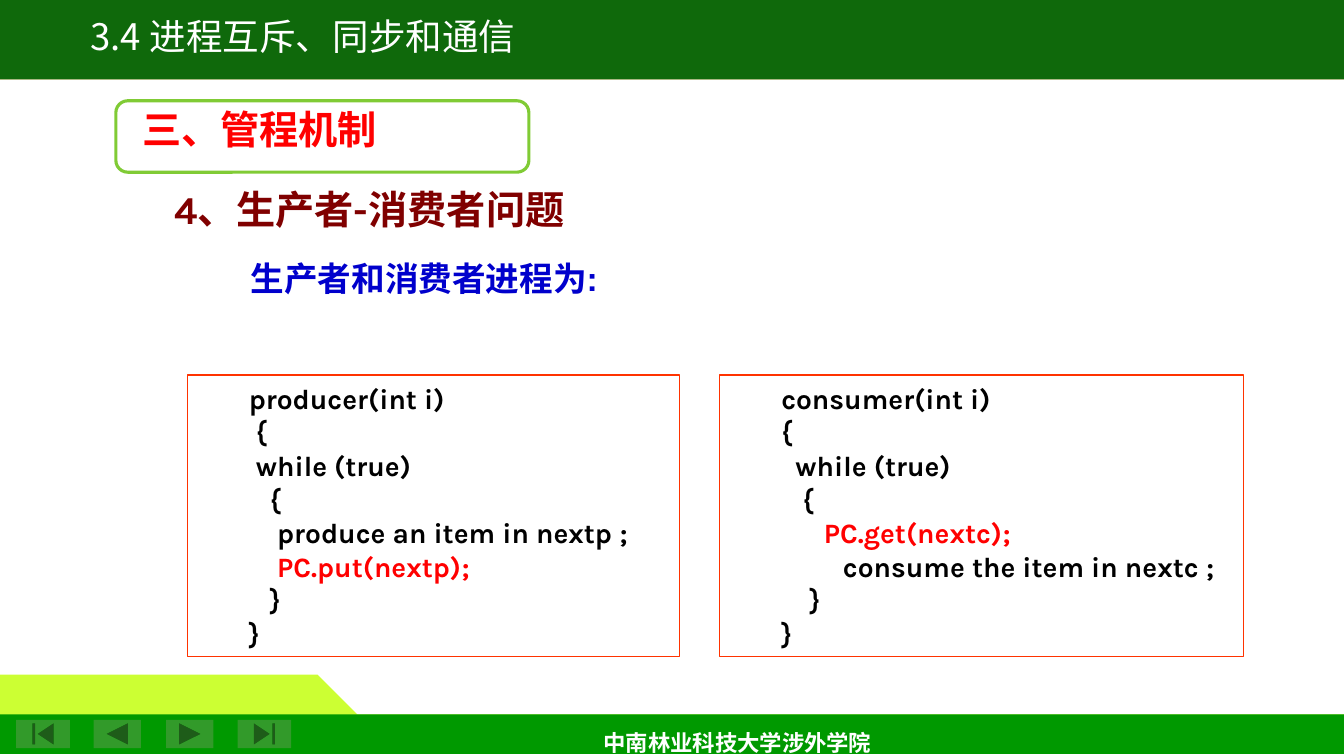
from pptx import Presentation
from pptx.dml.color import RGBColor
from pptx.enum.shapes import MSO_SHAPE as SHAPE
from pptx.enum.text import MSO_ANCHOR as ANCHOR, PP_ALIGN as ALIGN
from pptx.oxml.ns import qn
from pptx.util import Cm, Pt

W, H = 33.87, 19.05
CJK = "Noto Sans CJK SC"
RED, BLACK, WHITE = "FF0000", "000000", "FFFFFF"


def color(hex_text):
    return RGBColor.from_string(hex_text)


def paint(sp, fill=None, alpha=None, line=None, width=0.75):
    sp.shadow.inherit = False
    if fill:
        sp.fill.solid()
        sp.fill.fore_color.rgb = color(fill)
        if alpha:
            clr = sp.fill._xPr.find(qn("a:solidFill"))[0]
            clr.makeelement(qn("a:alpha"), {})
            node = clr.makeelement(qn("a:alpha"), {"val": str(alpha * 1000)})
            clr.append(node)
    else:
        sp.fill.background()
    if line:
        sp.line.color.rgb = color(line)
        sp.line.width = Pt(width)
    else:
        sp.line.fill.background()


def add_shape(s, kind, box, **look):
    sp = s.shapes.add_shape(kind, *map(Cm, box))
    paint(sp, **look)
    return sp


def add_band(s, x, y, points, fill, alpha=None):
    points = [(x + dx, y + dy) for dx, dy in points]
    builder = s.shapes.build_freeform(*points[0], scale=float(Cm(1)))
    builder.add_line_segments(points[1:], close=True)
    paint(builder.convert_to_shape(), fill, alpha)


def add_run(p, text, hex_text, size, name="Karla", bold=True):
    r = p.add_run()
    r.text = text
    for key, value in {"size": Pt(size), "name": name, "bold": bold}.items():
        setattr(r.font, key, value)
    r.font.color.rgb = color(hex_text)
    rpr = r.font._element
    rpr.append(rpr.makeelement(qn("a:ea"), {"typeface": CJK}))


def add_text(s, box, text, hex_text, size, wrap=True, anchor=ANCHOR.TOP,
             align=ALIGN.LEFT, spacing=None, **font):
    tf = s.shapes.add_textbox(*map(Cm, box)).text_frame
    tf.word_wrap, tf.vertical_anchor = wrap, anchor
    p = tf.paragraphs[0]
    p.alignment, p.line_spacing = align, spacing
    add_run(p, text, hex_text, size, **font)
    return p


def indent(p, margin, first):
    ppr = p._p.get_or_add_pPr()
    ppr.set("marL", str(Cm(margin)))
    ppr.set("indent", str(Cm(first)))


def footer(s, x, y, w, h):
    # Two stacked bands
    add_band(s, x, y, [(0.03, 1.43), (w, 1.43), (w, 0.69), (8.94, 0.69),
                       (8.05, 0.03), (0, 0)], "CCFF33")
    add_band(s, x, y, [(0, h), (w, h), (w, 1.02), (8.86, 1.02),
                       (7.9, 0.16), (0, 0.16)], "009900")
    # Navigation buttons
    buttons = [(SHAPE.ACTION_BUTTON_BEGINNING, 0.41, 1.35),
               (SHAPE.ACTION_BUTTON_BACK_OR_PREVIOUS, 2.36, 1.19),
               (SHAPE.ACTION_BUTTON_FORWARD_OR_NEXT, 4.19, 1.19),
               (SHAPE.ACTION_BUTTON_END, 5.99, 1.35)]
    for kind, dx, width in buttons:
        add_shape(s, kind, (x + dx, y + 0.77, width, 0.71), fill="329A2A")
    # School name
    add_text(s, (x + 14.96, y + 0.87, 7.34, 0.94), "中南林业科技大学涉外学院",
             WHITE, 16, wrap=False)


def header_bands(s, x, y, w):
    add_band(s, x, y, [(w, 0), (0, 0), (0, 2.14), (25.35, 2.14),
                       (25.98, 2.39), (w, 2.39)], "FBB561")
    add_band(s, x, y, [(w, 0), (0, 0), (0, 1.96), (25.35, 1.98),
                       (25.98, 2.19), (w, 2.21)], "0F690B")
    add_band(s, x, y, [(25.55, 2.39), (33.53, 2.39), (33.5, 2.52),
                       (25.88, 2.54)], WHITE, 30)


def code_box(s, x, y, w, h, lines, centred=None):
    sp = add_shape(s, SHAPE.RECTANGLE, (x, y, w, h), line="FF3300")
    tf = sp.text_frame
    tf.word_wrap, tf.vertical_anchor = True, ANCHOR.MIDDLE
    for i, line in enumerate(lines):
        p = tf.paragraphs[0] if i == 0 else tf.add_paragraph()
        p.alignment = ALIGN.CENTER if i == centred else ALIGN.LEFT
        indent(p, 0, 1.3)
        add_run(p, line, RED if "PC." in line else BLACK, 20)


def headings(s, x, y):
    # Topic, lying partly under the section frame
    add_text(s, (x + 1.22, y + 2.01, 10.49, 1.45), "4、生产者-消费者问题",
             "800000", 28, anchor=ANCHOR.MIDDLE)
    # Section frame and its title
    add_shape(s, SHAPE.ROUNDED_RECTANGLE, (x, y, 10.41, 1.8),
              fill=WHITE, alpha=90, line="80CB35", width=2.25)
    add_text(s, (x + 0.41, y, 10.8, 1.45), "三、管程机制", RED, 28,
             name="Times New Roman")


def main():
    prs = Presentation()
    prs.slide_width, prs.slide_height = Cm(W), Cm(H)
    s = prs.slides.add_slide(prs.slide_layouts[6])

    footer(s, 0, 17.37, W, 1.76)
    header_bands(s, 0, -0.08, W)

    # Lead-in line
    p = add_text(s, (6.07, 6.5, 14.5, 1.4), "生产者和消费者进程为:", "0000CC", 24,
                 spacing=0.9, name="Arial")
    indent(p, 0.97, -0.97)

    # The two processes
    code_box(s, 4.72, 9.45, 12.4, 7.09, [
        "producer(int i)", " {", " while (true)", "   {",
        "    produce an item in nextp ;", "    PC.put(nextp);", "   }", "}"])
    code_box(s, 18.14, 9.45, 13.21, 7.09, [
        "consumer(int i)", "{", "  while (true)", "   {",
        "      PC.get(nextc);", "      consume the item in nextc ;",
        "    }", "}"], centred=5)

    headings(s, 2.92, 2.54)

    # Chapter title
    add_text(s, (1.14, 0.43, 13, 1.17), "3.4 进程互斥、同步和通信", WHITE, 26.1,
             wrap=False, align=ALIGN.CENTER, spacing=0.8, name=CJK, bold=False)
    prs.save("out.pptx")


if __name__ == "__main__":
    main()
